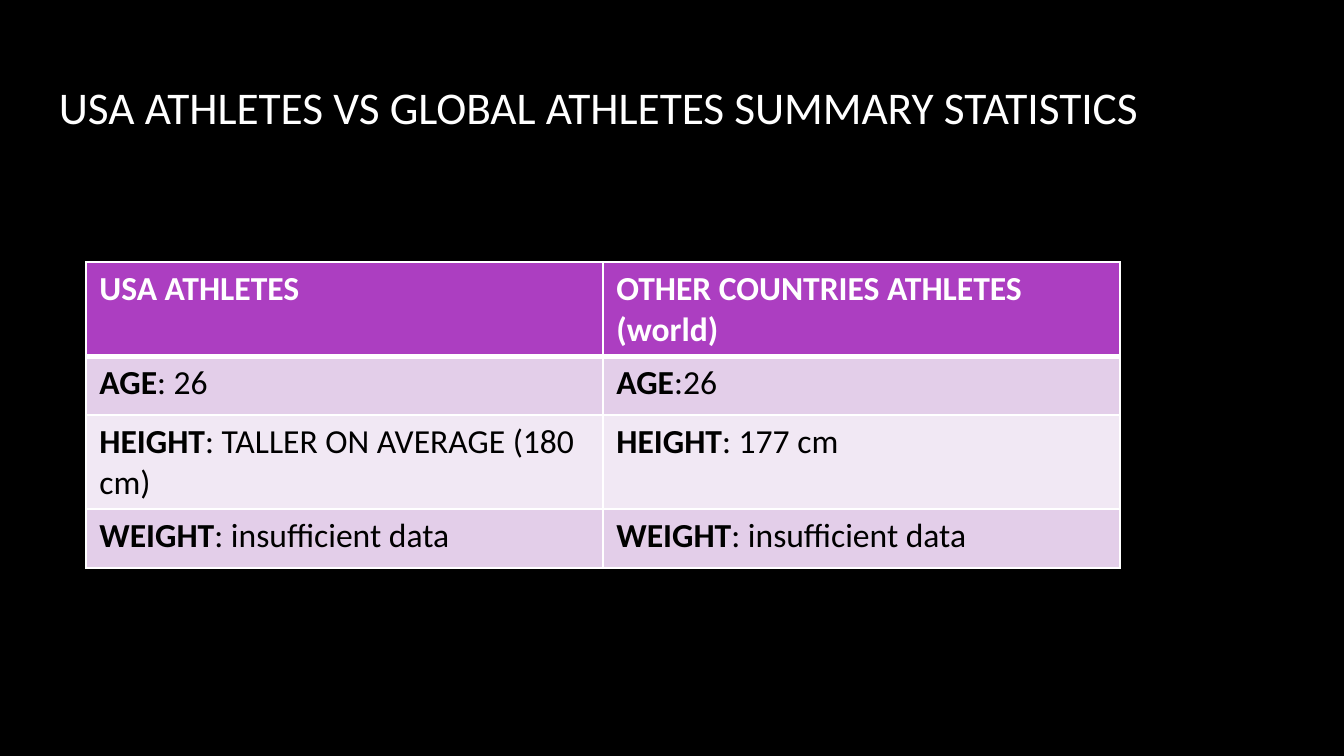
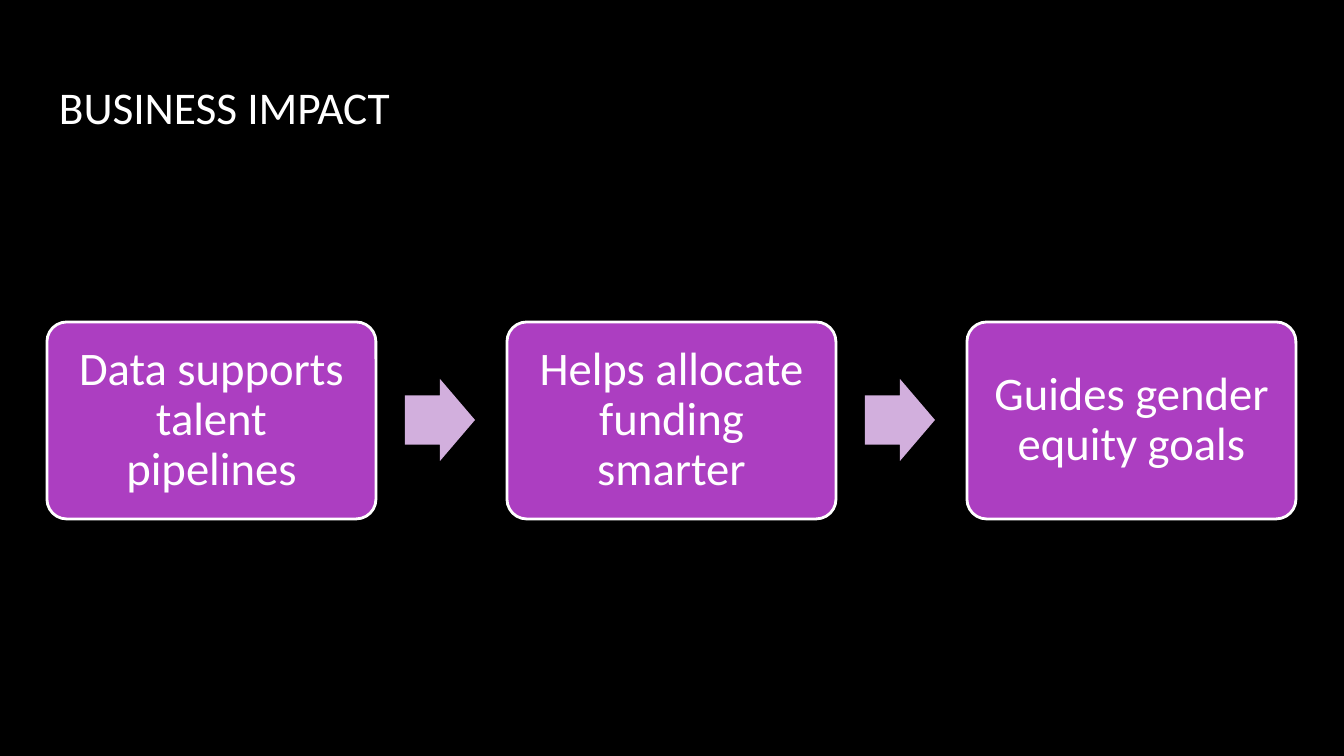
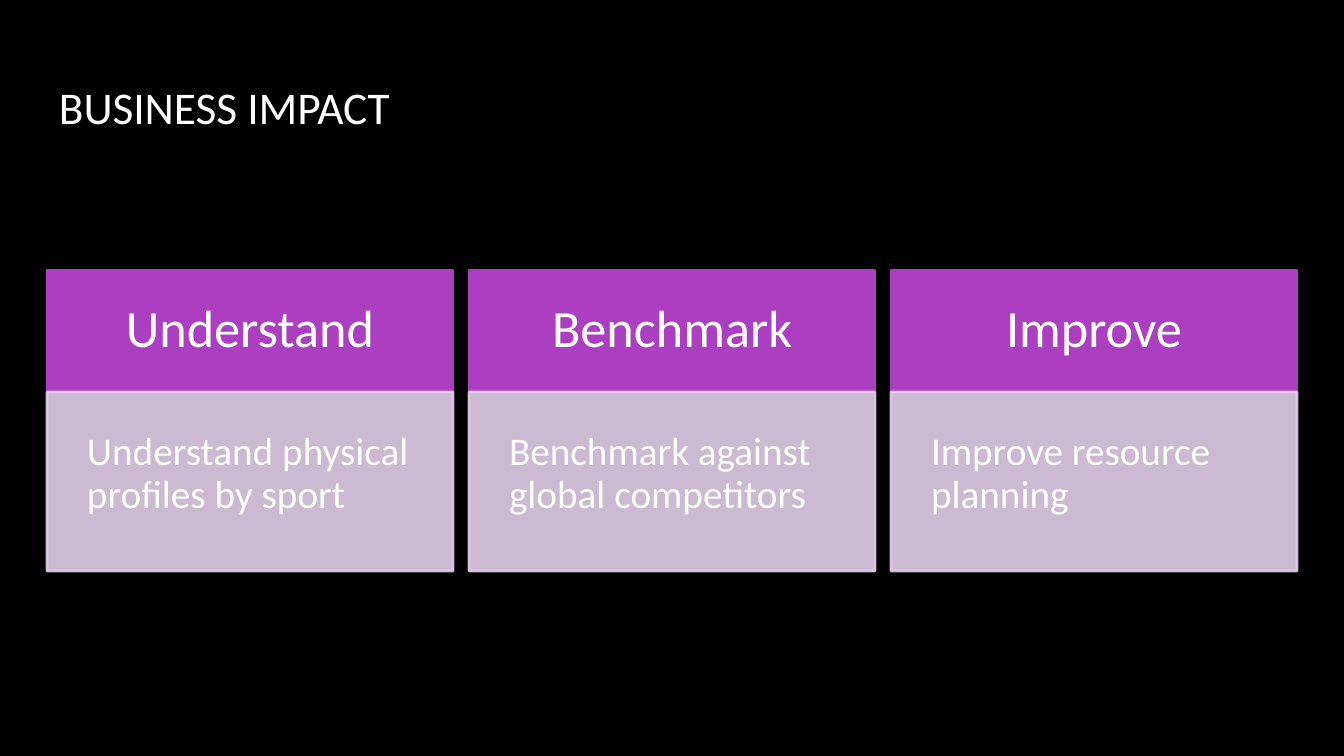
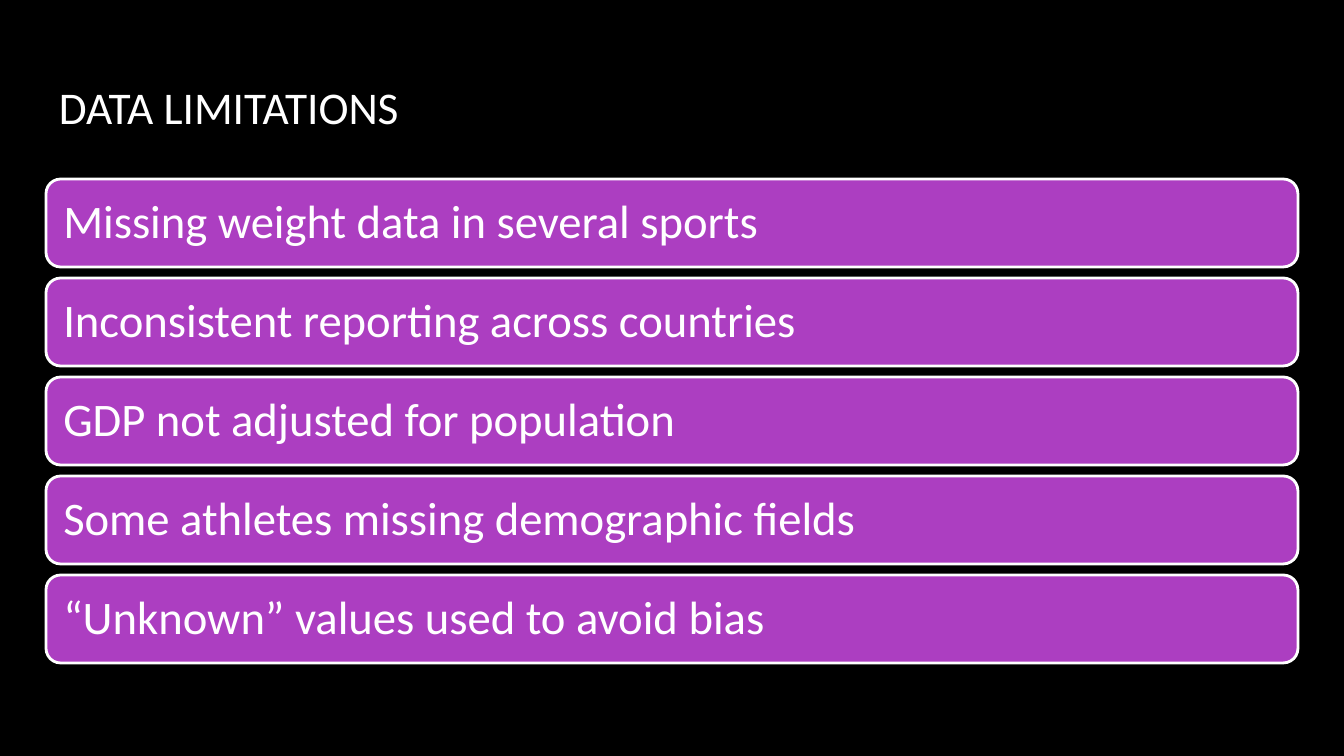
"""Build four slides on athlete statistics, business impact and data limits."""
import dataclasses
import typing

import lxml.etree
import pptx
import pptx.dml.color
import pptx.enum.shapes
import pptx.enum.text
import pptx.oxml.ns
import pptx.util

SCALE = 914400 / 134.4
KIND = pptx.enum.shapes.MSO_SHAPE
ALIGN = pptx.enum.text.PP_ALIGN
ANCHOR = pptx.enum.text.MSO_ANCHOR
qn = pptx.oxml.ns.qn


@dataclasses.dataclass(frozen=True)
class Theme:
    """Colours, font and type sizes of the deck."""
    back: str = "000000"
    white: str = "FFFFFF"
    ink: str = "000000"
    main: str = "AC3EC1"
    arrow: str = "D2AFDD"
    band: str = "E3CEE9"
    pale: str = "F1E8F4"
    font: str = "Calibri"
    title: float = 24.3
    head: float = 28
    box: float = 25
    body: float = 21
    cell: float = 18
    line: float = 1.5


@dataclasses.dataclass(frozen=True)
class Box:
    """A place on the slide in px."""
    left: int
    top: int
    width: int
    height: int

    def emu(self) -> list[int]:
        """Give the four lengths in EMU."""
        return [px(n) for n in dataclasses.astuple(self)]


class Run(typing.NamedTuple):
    """A piece of text with its weight."""
    text: str
    bold: bool = False


class Card(typing.NamedTuple):
    """A heading with the text below it."""
    head: str
    body: str


THEME = Theme()
STATS = [
    [[Run("USA ATHLETES", True)], [Run("OTHER COUNTRIES ATHLETES (world)", True)]],
    [[Run("AGE", True), Run(": 26")], [Run("AGE", True), Run(":26")]],
    [[Run("HEIGHT", True), Run(": TALLER ON AVERAGE (180 cm)")],
     [Run("HEIGHT", True), Run(": 177 cm")]],
    [[Run("WEIGHT", True), Run(": insufficient data")]] * 2,
]
STEPS = ["Data supports talent pipelines", "Helps allocate funding smarter",
         "Guides gender equity goals"]
CARDS = [
    Card("Understand", "Understand physical profiles by sport"),
    Card("Benchmark", "Benchmark against global competitors"),
    Card("Improve", "Improve resource planning"),
]
LIMITS = [
    "Missing weight data in several sports",
    "Inconsistent reporting across countries",
    "GDP not adjusted for population",
    "Some athletes missing demographic fields",
    "“Unknown” values used to avoid bias",
]


def px(n: float) -> int:
    """Turn px into EMU."""
    return round(n * SCALE)


def rgb(code: str) -> pptx.dml.color.RGBColor:
    """Turn a hex code into a colour."""
    return pptx.dml.color.RGBColor.from_string(code)


def write(frame, runs: str | list[Run], *, size: float, color: str = THEME.white,
          align=ALIGN.LEFT, anchor=ANCHOR.MIDDLE, inset: int | None = 13,
          space: float | None = None) -> None:
    """Fill a text frame with one formatted paragraph."""
    frame.word_wrap = True
    if inset is not None:
        frame.vertical_anchor = anchor
        frame.margin_left = frame.margin_right = px(inset)
        frame.margin_top = frame.margin_bottom = px(inset)
    par = frame.paragraphs[0]
    par.alignment = align
    if space:
        par.line_spacing = space
    for item in [Run(runs)] if isinstance(runs, str) else runs:
        run = par.add_run()
        run.text = item.text
        run.font.name = THEME.font
        run.font.size = pptx.util.Pt(size)
        run.font.bold = item.bold
        run.font.color.rgb = rgb(color)


def draw(slide, kind, box: Box, fill: str, *, line: str | None = None,
         adjust: tuple[float, ...] = (), alpha: int = 100):
    """Add a flat preset shape."""
    shape = slide.shapes.add_shape(kind, *box.emu())
    shape.shadow.inherit = False
    for i, value in enumerate(adjust):
        shape.adjustments[i] = value
    shape.fill.solid()
    shape.fill.fore_color.rgb = rgb(fill)
    if line:
        shape.line.color.rgb = rgb(line)
        shape.line.width = pptx.util.Pt(THEME.line)
    else:
        shape.line.fill.background()
    if alpha < 100:
        for color in shape._element.spPr.iter(qn("a:srgbClr")):
            lxml.etree.SubElement(color, qn("a:alpha"), val=str(alpha * 1000))
    return shape


def start(deck, title: str):
    """Add a black slide with its title."""
    slide = deck.slides.add_slide(deck.slide_layouts[6])
    slide.background.fill.solid()
    slide.background.fill.fore_color.rgb = rgb(THEME.back)
    label = slide.shapes.add_textbox(*Box(46, 66, 1252, 85).emu())
    write(label.text_frame, title, size=THEME.title, anchor=ANCHOR.TOP)
    return slide


def edge(cell, widths: dict[str, int]) -> None:
    """Draw white borders of the given point widths."""
    props = cell._tc.get_or_add_tcPr()
    for i, (side, width) in enumerate(widths.items()):
        line = lxml.etree.Element(qn(f"a:ln{side}"), w=str(pptx.util.Pt(width)))
        fill = lxml.etree.SubElement(line, qn("a:solidFill"))
        lxml.etree.SubElement(fill, qn("a:srgbClr"), val=THEME.white)
        props.insert(i, line)


def stats(deck) -> None:
    """Build the table slide."""
    slide = start(deck, "USA ATHLETES VS GLOBAL ATHLETES SUMMARY STATISTICS")
    grid = slide.shapes.add_table(len(STATS), 2, *Box(86, 262, 1034, 261).emu()).table
    fills = [THEME.main, THEME.band, THEME.pale, THEME.band]
    for r, (row, fill, height) in enumerate(zip(STATS, fills, [59, 59, 81, 59])):
        grid.rows[r].height = px(height)
        for c, runs in enumerate(row):
            cell = grid.cell(r, c)
            cell.fill.solid()
            cell.fill.fore_color.rgb = rgb(fill)
            edge(cell, {"L": 1, "R": 1, "T": 3 if r == 1 else 1, "B": 1 if r else 3})
            write(cell.text_frame, runs, size=THEME.cell, inset=None,
                  color=THEME.ink if r else THEME.white)


def flow(deck) -> None:
    """Build the slide of boxes joined by arrows."""
    slide = start(deck, "BUSINESS IMPACT")
    for i, text in enumerate(STEPS):
        left = 47 + 460 * i
        if i:
            draw(slide, KIND.RIGHT_ARROW, Box(left - 102, 379, 70, 82), THEME.arrow,
                 adjust=(0.6, 0.5))
        box = draw(slide, KIND.ROUNDED_RECTANGLE, Box(left, 322, 329, 197), THEME.main,
                   line=THEME.white, adjust=(0.1,))
        write(box.text_frame, text, size=THEME.box, align=ALIGN.CENTER, space=0.9)


def cards(deck) -> None:
    """Build the slide of headed cards."""
    slide = start(deck, "BUSINESS IMPACT")
    for i, card in enumerate(CARDS):
        left = 47 + 422 * i
        head = draw(slide, KIND.RECTANGLE, Box(left, 270, 406, 122), THEME.main,
                    line=THEME.main)
        write(head.text_frame, card.head, size=THEME.head, align=ALIGN.CENTER,
              inset=32, space=0.9)
        body = draw(slide, KIND.RECTANGLE, Box(left, 392, 406, 179), THEME.band,
                    line=THEME.band, alpha=90)
        write(body.text_frame, card.body, size=THEME.body, anchor=ANCHOR.TOP,
              inset=40, space=0.9)


def limits(deck) -> None:
    """Build the slide of stacked bars."""
    slide = start(deck, "DATA LIMITATIONS")
    for i, text in enumerate(LIMITS):
        bar = draw(slide, KIND.ROUNDED_RECTANGLE, Box(46, 179 + 99 * i, 1252, 88),
                   THEME.main, line=THEME.white)
        write(bar.text_frame, text, size=THEME.box, space=0.9)


def main() -> None:
    """Build and save the deck."""
    deck = pptx.Presentation()
    deck.slide_width, deck.slide_height = px(1344), px(756)
    for build in (stats, flow, cards, limits):
        build(deck)
    deck.save("out.pptx")


if __name__ == "__main__":
    main()
